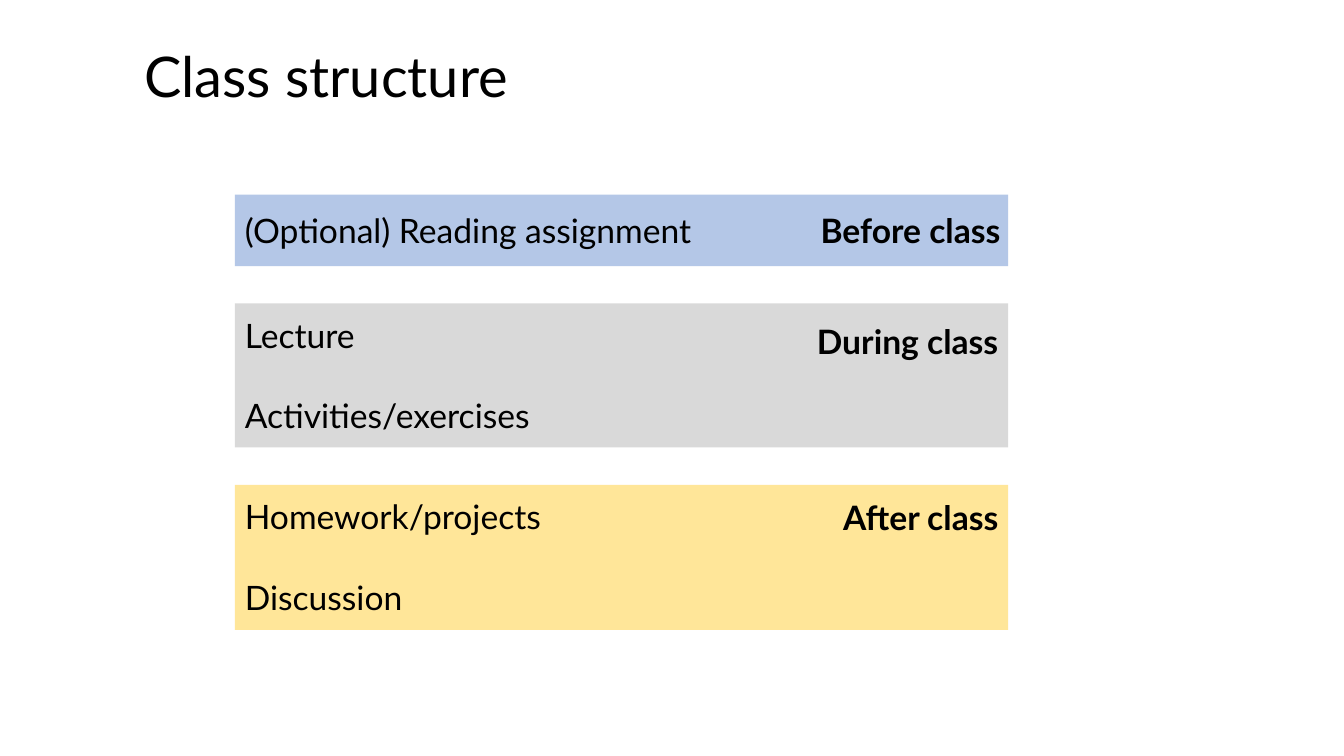
from dataclasses import dataclass

import pptx
import pptx.dml.color
import pptx.enum.shapes
import pptx.enum.text
import pptx.util

EMU_PER_PX = 9144


@dataclass(frozen=True)
class Theme:
    font: str = "Lato"
    text: str = "000000"
    before: str = "B4C7E7"
    during: str = "D9D9D9"
    after: str = "FFE699"
    title_pt: int = 40
    body_pt: int = 24
    item_gap_pt: float = 28.8


@dataclass(frozen=True)
class Box:
    left: int
    top: int
    width: int
    height: int

    def emu(self) -> list[pptx.util.Emu]:
        return [pptx.util.Emu(v * EMU_PER_PX)
                for v in (self.left, self.top, self.width, self.height)]


@dataclass(frozen=True)
class Phase:
    label: str
    items: tuple[str, ...]
    color: str
    height: int
    label_right: int
    label_width: int
    label_offset: int
    items_width: int


THEME = Theme()
BAND_LEFT, BAND_TOP, BAND_WIDTH, BAND_GAP = 233, 193, 767, 37
LINE_HEIGHT, ITEM_PITCH = 50, 81

PHASES = (
    Phase("Before class", ("(Optional) Reading assignment",),
          THEME.before, 71, 1002, 208, 10, 484),
    Phase("During class", ("Lecture", "Activities/exercises"),
          THEME.during, 143, 1000, 210, 12, 304),
    Phase("After class", ("Homework/projects", "Discussion"),
          THEME.after, 144, 1000, 185, 7, 316),
)


def add_text(slide: pptx.slide.Slide, box: Box, lines: tuple[str, ...],
             size: int, bold: bool = False, right: bool = False,
             middle: bool = False) -> None:
    tf = slide.shapes.add_textbox(*box.emu()).text_frame
    tf.word_wrap = True
    anchor = pptx.enum.text.MSO_ANCHOR
    tf.vertical_anchor = anchor.MIDDLE if middle else anchor.TOP
    tf.text = "\n".join(lines)
    align = pptx.enum.text.PP_ALIGN
    for i, p in enumerate(tf.paragraphs):
        p.alignment = align.RIGHT if right else align.LEFT
        if i:
            p.space_before = pptx.util.Pt(THEME.item_gap_pt)
        for r in p.runs:
            r.font.name = THEME.font
            r.font.size = pptx.util.Pt(size)
            r.font.bold = bold
            r.font.color.rgb = pptx.dml.color.RGBColor.from_string(THEME.text)


def add_band(slide: pptx.slide.Slide, box: Box, color: str) -> None:
    sp = slide.shapes.add_shape(
        pptx.enum.shapes.MSO_SHAPE.RECTANGLE, *box.emu())
    sp.shadow.inherit = False
    sp.fill.solid()
    sp.fill.fore_color.rgb = pptx.dml.color.RGBColor.from_string(color)
    sp.line.fill.background()


def add_phase(slide: pptx.slide.Slide, phase: Phase, top: int) -> None:
    add_band(slide, Box(BAND_LEFT, top, BAND_WIDTH, phase.height), phase.color)
    label = Box(phase.label_right - phase.label_width, top + phase.label_offset,
                phase.label_width, LINE_HEIGHT)
    add_text(slide, label, (phase.label,), THEME.body_pt, bold=True, right=True)
    height = LINE_HEIGHT + ITEM_PITCH * (len(phase.items) - 1)
    items = Box(BAND_LEFT, top + (phase.height - height) // 2,
                phase.items_width, height)
    add_text(slide, items, phase.items, THEME.body_pt)


def main() -> None:
    prs = pptx.Presentation()
    prs.slide_width = pptx.util.Emu(1333 * EMU_PER_PX)
    prs.slide_height = pptx.util.Emu(750 * EMU_PER_PX)
    slide = prs.slides.add_slide(prs.slide_layouts[6])
    add_text(slide, Box(133, 26, 1115, 98), ("Class structure",),
             THEME.title_pt, middle=True)
    top = BAND_TOP
    for phase in PHASES:
        add_phase(slide, phase, top)
        top += phase.height + BAND_GAP
    prs.save("out.pptx")


if __name__ == "__main__":
    main()
